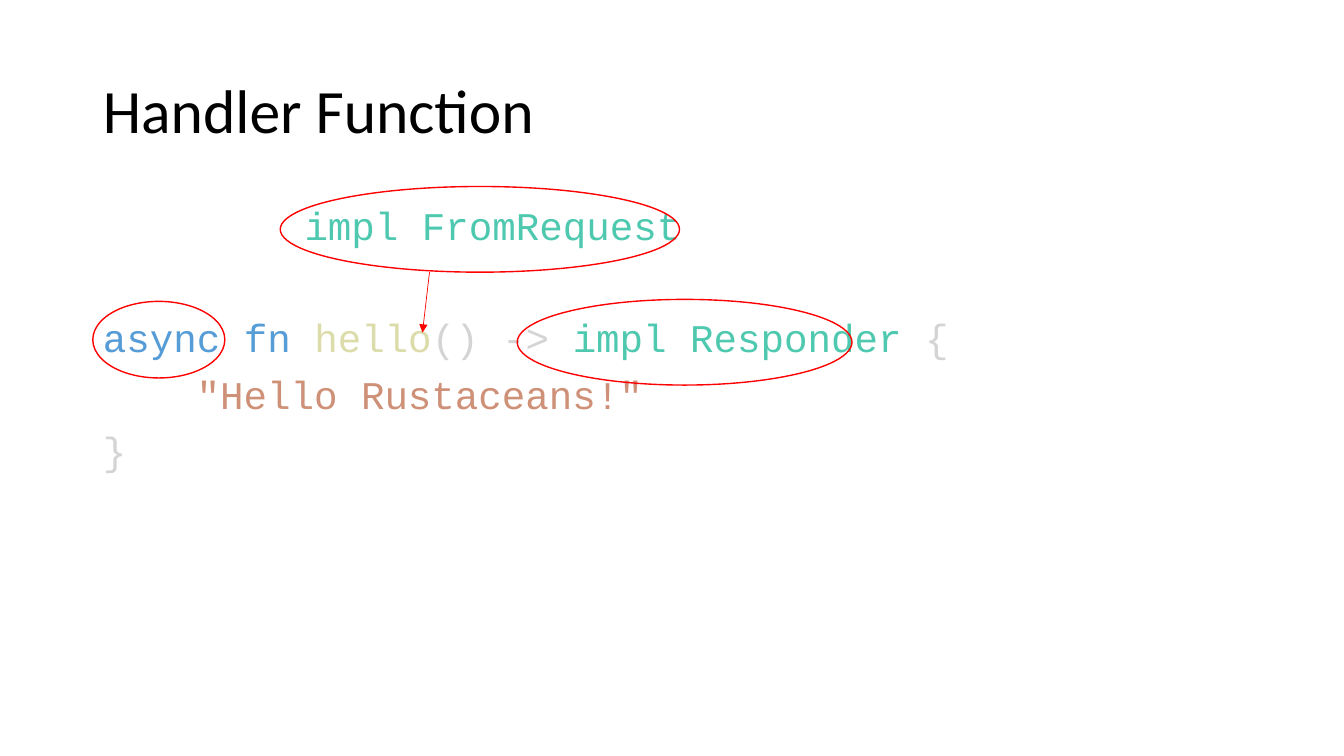
from lxml import etree
from pptx import Presentation
from pptx.dml.color import RGBColor
from pptx.enum.shapes import MSO_CONNECTOR, MSO_SHAPE
from pptx.enum.text import MSO_ANCHOR, MSO_AUTO_SIZE, PP_ALIGN
from pptx.oxml.ns import qn
from pptx.util import Inches, Pt

OVAL, STRAIGHT = MSO_SHAPE.OVAL, MSO_CONNECTOR.STRAIGHT
LEFT, TOP, MIDDLE = PP_ALIGN.LEFT, MSO_ANCHOR.TOP, MSO_ANCHOR.MIDDLE
FIXED = MSO_AUTO_SIZE.NONE

BLACK = RGBColor(0x00, 0x00, 0x00)
RED = RGBColor(0xFF, 0x00, 0x00)
KEYWORD = RGBColor(0x56, 0x9C, 0xD6)
TYPE = RGBColor(0x4E, 0xC9, 0xB0)
NAME = RGBColor(0xDC, 0xDC, 0xAA)
PLAIN = RGBColor(0xD4, 0xD4, 0xD4)
STRING = RGBColor(0xCE, 0x91, 0x78)

TITLE = [(0, 0, [("Handler Function", BLACK)])]
CODE = [
    (2, 10, [("impl FromRequest", TYPE)]),
    (0, 50, [("async fn ", KEYWORD), ("hello", NAME), ("() -> ", PLAIN),
             ("impl Responder", TYPE), (" {", PLAIN)]),
    (0.93, 10, [('"Hello Rustaceans!"', STRING)]),
    (0, 10, [("}", PLAIN)]),
]
RINGS = [
    (0.92, 2.99, 1.31, 0.76),
    (5.13, 2.97, 3.32, 0.85),
    (2.78, 1.85, 3.96, 0.85),
]
ARROW = (4.26, 2.7, 4.19, 3.3)


def inches(values):
    return [Inches(v) for v in values]


def fill_text(sp, box, lines, anchor, font):
    sp.left, sp.top, sp.width, sp.height = inches(box)
    tf = sp.text_frame
    for key, value in {"word_wrap": True, "auto_size": FIXED,
                       "vertical_anchor": anchor}.items():
        setattr(tf, key, value)
    for i, (indent, before, runs) in enumerate(lines):
        p = tf.add_paragraph() if i else tf.paragraphs[0]
        for key, value in {"alignment": LEFT, "line_spacing": 0.9,
                           "space_before": Pt(before)}.items():
            setattr(p, key, value)
        props = p._p.get_or_add_pPr()
        props.set("marL", str(Inches(indent)))
        props.set("indent", "0")
        etree.SubElement(props, qn("a:buNone"))
        for text, color in runs:
            r = p.add_run()
            r.text = text
            for key, value in font.items():
                setattr(r.font, key, value)
            r.font.color.rgb = color


prs = Presentation()
prs.slide_width, prs.slide_height = inches((13.33, 7.5))
s = prs.slides.add_slide(prs.slide_layouts[1])

fill_text(s.shapes.title, (0.92, 0.4, 11.5, 1.45), TITLE, MIDDLE,
          {"name": "Calibri", "size": Pt(44)})
fill_text(s.placeholders[1], (0.92, 2, 11.5, 4.76), CODE, TOP,
          {"name": "Courier New", "size": Pt(28)})

for box in RINGS:
    ring = s.shapes.add_shape(OVAL, *inches(box))
    ring.shadow.inherit = False
    ring.fill.background()
    ring.line.color.rgb = RED
    ring.line.width = Pt(1)

arrow = s.shapes.add_connector(STRAIGHT, *inches(ARROW))
arrow.line.color.rgb = RED
arrow.line.width = Pt(0.5)
etree.SubElement(arrow.line._get_or_add_ln(), qn("a:tailEnd"), type="triangle")
etree.SubElement(arrow._element.spPr, qn("a:effectLst"))

prs.save("out.pptx")
